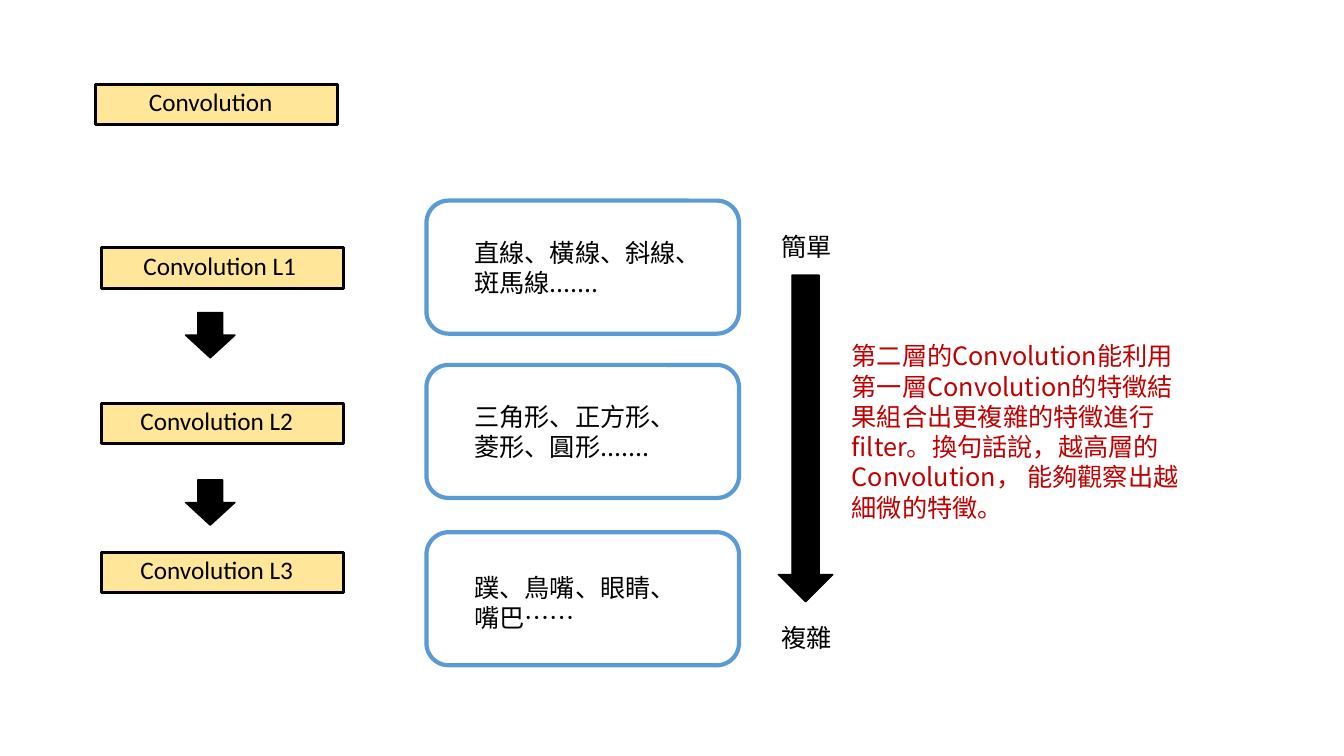
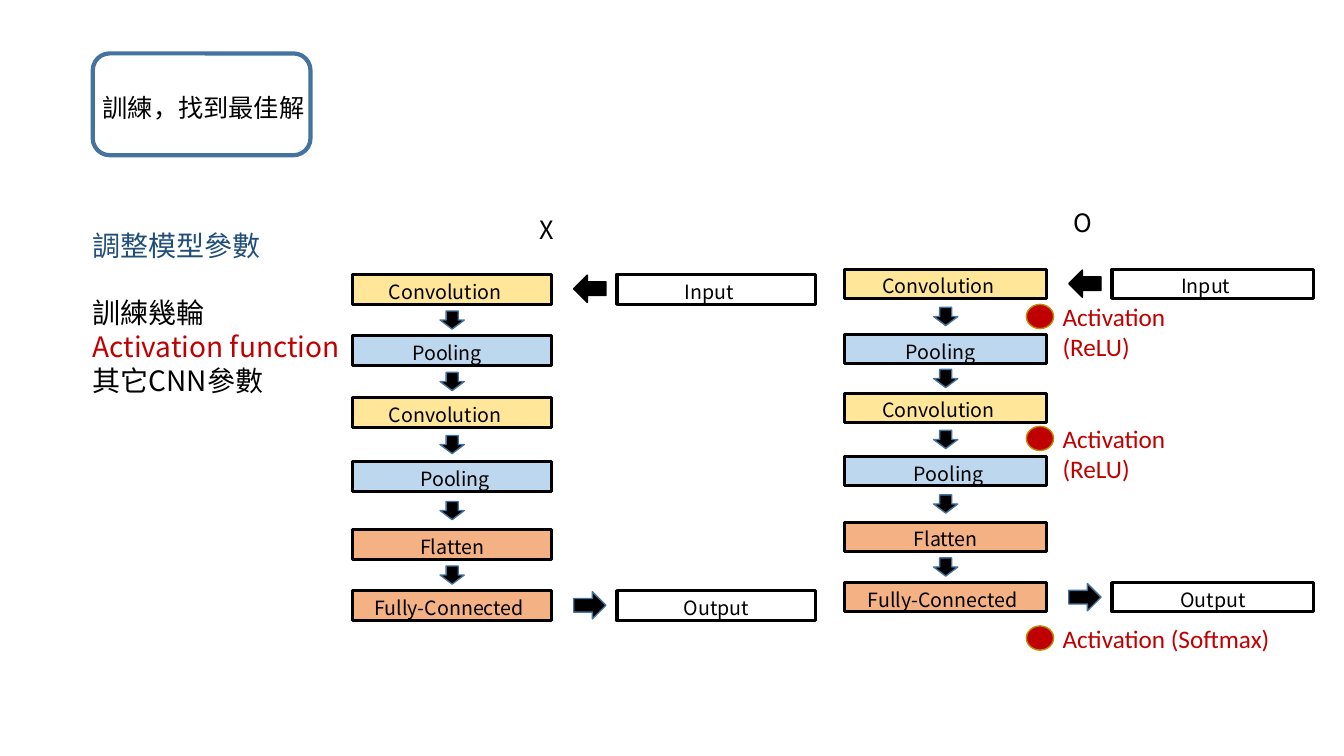
import dataclasses

import lxml.etree
import pptx
import pptx.dml.color
import pptx.enum.shapes
import pptx.enum.text
import pptx.oxml.ns
import pptx.util

Inches = pptx.util.Inches
Kind = pptx.enum.shapes.MSO_SHAPE
Align = pptx.enum.text.PP_ALIGN


@dataclasses.dataclass(frozen=True)
class Theme:
    """Colours, fonts, type sizes and line widths of the deck."""

    black: str = "000000"
    white: str = "FFFFFF"
    yellow: str = "FFE699"
    blue: str = "BDD7EE"
    orange: str = "F4B183"
    red: str = "C00000"
    gold: str = "BD8E00"
    navy: str = "1F4E79"
    steel: str = "43739E"
    sky: str = "5B9BD5"
    sans: str = "Calibri"
    cjk: str = "Noto Sans CJK JP"
    large: int = 20
    body: int = 18
    small: int = 14
    thin: float = 1
    edge: float = 2.25
    thick: float = 3


THEME = Theme()


def tint(code):
    """Turn a hex code into a colour."""
    return pptx.dml.color.RGBColor.from_string(code)


def write(frame, lines, size, font, align=Align.LEFT):
    """Write (text, colour, space before) lines into a text frame."""
    for index, (text, color, space) in enumerate(lines):
        para = frame.paragraphs[0] if index == 0 else frame.add_paragraph()
        para.alignment = align
        if space:
            para.space_before = pptx.util.Pt(space)
        run = para.add_run()
        run.text = text
        run.font.size = pptx.util.Pt(size)
        run.font.name = font
        run.font.color.rgb = tint(color)
        east = lxml.etree.SubElement(run.font._element, pptx.oxml.ns.qn("a:ea"))
        east.set("typeface", font)


def draw(slide, kind, box, fill, line, width=THEME.thin):
    """Draw a flat preset shape in its box."""
    shape = slide.shapes.add_shape(kind, *map(Inches, box))
    shape.shadow.inherit = False
    shape.fill.solid()
    shape.fill.fore_color.rgb = tint(fill)
    shape.line.color.rgb = tint(line)
    shape.line.width = pptx.util.Pt(width)
    return shape


def inset(frame, left, top, right, bottom):
    """Set the inner margins of a text frame."""
    frame.margin_left, frame.margin_top = Inches(left), Inches(top)
    frame.margin_right, frame.margin_bottom = Inches(right), Inches(bottom)
    frame.vertical_anchor = pptx.enum.text.MSO_ANCHOR.MIDDLE


def label(slide, box, text, fill, size, font, shift=0, drop=0):
    """Draw a framed block whose centred text may sit off centre."""
    shape = draw(slide, Kind.RECTANGLE, box, fill, THEME.black, THEME.edge)
    frame = shape.text_frame
    frame.word_wrap = False
    inset(frame, max(2 * shift, 0), max(2 * drop, 0),
          max(-2 * shift, 0), max(-2 * drop, 0))
    write(frame, [(text, THEME.black, 0)], size, font, Align.CENTER)


def panel(slide, box, text, line, side, drop=0, wrap=True):
    """Draw a rounded panel with left-aligned text."""
    shape = draw(slide, Kind.ROUNDED_RECTANGLE, box, THEME.white, line, THEME.thick)
    frame = shape.text_frame
    frame.word_wrap = wrap
    inset(frame, side, 2 * drop, side if wrap else 0, 0)
    write(frame, [(text, THEME.black, 0)], THEME.body, THEME.cjk)


def note(slide, box, lines, size=THEME.body, font=THEME.cjk):
    """Place free text in its box."""
    frame = slide.shapes.add_textbox(*map(Inches, box)).text_frame
    frame.word_wrap = True
    write(frame, lines, size, font)


def block(slide, left, top, text, shift=0):
    """Draw one large convolution block."""
    label(slide, (left, top, 2.4, 0.4), text, THEME.yellow,
          THEME.body, THEME.sans, shift, -0.03)


def layers(slide, left, top):
    """Stack the three convolution layers with arrows between them."""
    for level, (down, shift) in enumerate([(0, -0.03), (1.54, -0.06), (3.02, -0.06)], 1):
        block(slide, left, top + down, f"Convolution L{level}", shift)
    for down in (0.64, 2.3):
        draw(slide, Kind.DOWN_ARROW, (left + 0.83, top + down, 0.49, 0.45),
             THEME.black, THEME.black)


def finds(slide, left, top):
    """Stack the panels naming what each layer detects."""
    rows = [(0, "直線、橫線、斜線、斑馬線.......", 0),
            (1.63, "三角形、正方形、菱形、圓形.......", 0),
            (3.29, "蹼、鳥嘴、眼睛、嘴巴……", 0.04)]
    for down, text, drop in rows:
        panel(slide, (left, top + down, 3.1, 1.32), text, THEME.sky, 0.41, drop)


def scale(slide, left, top):
    """Draw the arrow from simple to complex with its end labels."""
    for down, text in [(0, "簡單"), (3.87, "複雜")]:
        note(slide, (left, top + down, 0.85, 0.4), [(text, THEME.black, 0)])
    draw(slide, Kind.DOWN_ARROW, (left + 0.07, top + 0.48, 0.54, 3.24),
         THEME.black, THEME.black)


def chain(slide, left, tops, width, height, mark):
    """Draw a network column with its input, output and heading."""
    kinds = [("Convolution", THEME.yellow, -0.07), ("Pooling", THEME.blue, -0.05),
             ("Convolution", THEME.yellow, -0.07), ("Pooling", THEME.blue, 0.03),
             ("Flatten", THEME.orange, 0), ("Fully-Connected", THEME.orange, -0.03)]
    for top, (text, fill, shift) in zip(tops, kinds):
        label(slide, (left, top, width, height), text, fill,
              THEME.small, THEME.cjk, shift, 0.02)
    for upper, lower in zip(tops, tops[1:]):
        middle = (upper + height + lower) / 2
        draw(slide, Kind.DOWN_ARROW,
             (left + width / 2 - 0.12, middle - 0.09, 0.24, 0.18),
             THEME.black, THEME.steel)
    ends = [(tops[0], "Input", -0.07, Kind.LEFT_ARROW, THEME.black),
            (tops[-1], "Output", 0, Kind.RIGHT_ARROW, THEME.steel)]
    for top, text, shift, kind, line in ends:
        label(slide, (left + width + 0.65, top, width, height), text, THEME.white,
              THEME.small, THEME.cjk, shift, 0.02)
        draw(slide, kind, (left + width + 0.22, top + 0.01, 0.32, 0.27),
             THEME.black, line)
    note(slide, (*mark[:2], 0.44, 0.4), [(mark[2], THEME.black, 0)])


def active(slide, left, tops):
    """Mark the activation steps with red dots and captions."""
    steps = [("ReLU", 1.8), ("ReLU", 1.8), ("Softmax", 2.3)]
    for top, (name, width) in zip(tops, steps):
        draw(slide, Kind.OVAL, (left, top, 0.27, 0.24), THEME.red, THEME.gold)
        note(slide, (left + 0.26, top - 0.08, width, 0.7),
             [(f"Activation ({name})", THEME.red, 0)], font=THEME.sans)


def depth(slide):
    """Build the slide on stacked convolution layers."""
    block(slide, 0.95, 0.84, "Convolution", -0.06)
    layers(slide, 1.01, 2.46)
    finds(slide, 4.23, 1.99)
    scale(slide, 7.65, 2.25)
    note(slide, (8.35, 3.33, 3.44, 1.92), [(
        "第二層的Convolution能利用第一層Convolution的特徵結果組合出更複雜的特徵"
        "進行filter。換句話說，越高層的Convolution， 能夠觀察出越細微的特徵。",
        THEME.red, 0)])


def train(slide):
    """Build the slide on training and activation functions."""
    panel(slide, (0.92, 0.53, 2.16, 1.01), "訓練，找到最佳解",
          THEME.steel, 0.05, 0.03, False)
    note(slide, (0.82, 2.22, 2.76, 2.76), [
        ("調整模型參數", THEME.navy, 0), ("訓練幾輪", THEME.black, 24),
        ("Activation function", THEME.red, 0), ("其它CNN參數", THEME.black, 0)],
        THEME.large)
    chain(slide, 3.5, [2.72, 3.33, 3.94, 4.58, 5.25, 5.86], 1.97, 0.3,
          (5.25, 2.08, "X"))
    chain(slide, 8.38, [2.67, 3.32, 3.9, 4.53, 5.18, 5.78], 2, 0.29,
          (10.55, 2.01, "O"))
    active(slide, 10.18, [3.02, 4.23, 6.21])


def main():
    """Build and save the deck."""
    deck = pptx.Presentation()
    deck.slide_width, deck.slide_height = Inches(13.33), Inches(7.5)
    for build in (depth, train):
        build(deck.slides.add_slide(deck.slide_layouts[6]))
    deck.save("out.pptx")


if __name__ == "__main__":
    main()
